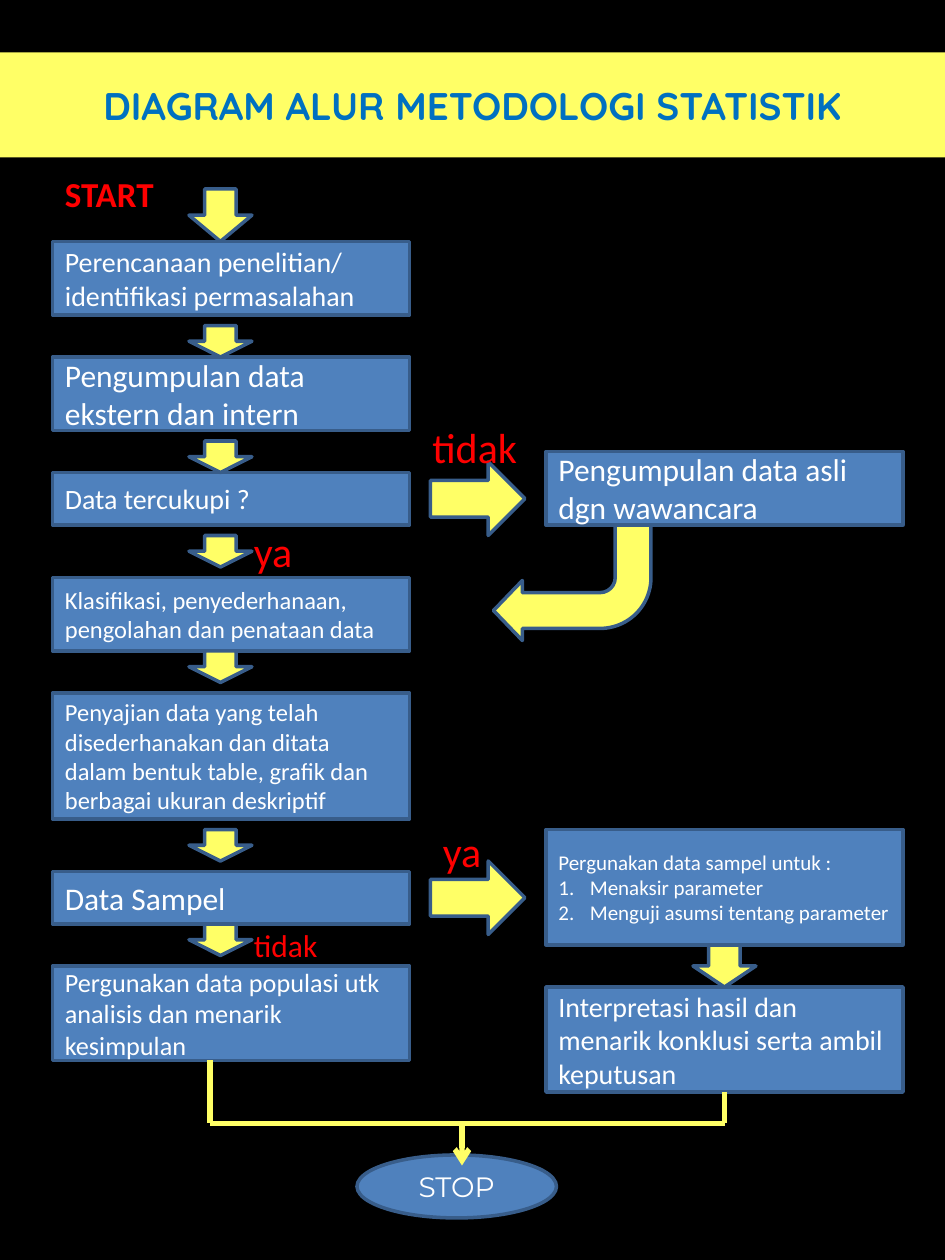
from pptx import Presentation
from pptx import util as u
from pptx.dml.color import RGBColor
from pptx.enum import shapes, text
from pptx.oxml.ns import qn
from lxml import etree

Pt = u.Pt
Kind = shapes.MSO_SHAPE
Anchor = text.MSO_ANCHOR
Align = text.PP_ALIGN

BLACK = RGBColor(0, 0, 0)
WHITE = RGBColor(255, 255, 255)
YELLOW = RGBColor(0xFF, 0xFF, 0x66)
BLUE = RGBColor(0x4F, 0x81, 0xBD)
OUTLINE = RGBColor(0x38, 0x5D, 0x8A)
TITLE_BLUE = RGBColor(0x00, 0x70, 0xC0)
RED = RGBColor(255, 0, 0)

LEFT, RIGHT, BOX_WIDTH = 30, 312, 204
LEFT_ARROW, RIGHT_ARROW, ARROW_WIDTH = 108, 396, 36

# Column, top, height, text size, wording
BOXES = [
    (LEFT, 138, 42, 16, ["Perencanaan penelitian/ identifikasi permasalahan"]),
    (LEFT, 204, 42, 18, ["Pengumpulan data ekstern dan intern"]),
    (LEFT, 270, 30, 16, ["Data tercukupi ? "]),
    (LEFT, 330, 42, 14, ["Klasifikasi, penyederhanaan, pengolahan dan penataan data"]),
    (LEFT, 396, 72, 14, ["Penyajian data yang telah disederhanakan dan ditata dalam "
                         "bentuk table, grafik dan berbagai ukuran deskriptif "]),
    (LEFT, 498, 30, 18, ["Data Sampel"]),
    (LEFT, 552, 54, 15, ["Pergunakan data populasi utk analisis dan menarik kesimpulan"]),
    (RIGHT, 258, 42, 18, ["Pengumpulan data asli dgn wawancara"]),
    (RIGHT, 474, 66, 12, ["Pergunakan data sampel untuk :", "Menaksir parameter",
                          "Menguji asumsi tentang parameter"]),
    (RIGHT, 564, 60, 16, ["Interpretasi hasil dan menarik konklusi serta ambil keputusan"]),
]
# Left, top, height
DOWN_ARROWS = [(LEFT_ARROW, 108, 30), (RIGHT_ARROW, 540, 24)] + [
    (LEFT_ARROW, top, 18) for top in (186, 252, 306, 372, 474, 528)]
# Wording, left, top, width, height, size
ANSWERS = [
    ("tidak", 138, 528, 60, 24, 18),
    ("tidak", 240, 240, 66, 30, 24),
    ("ya", 138, 300, 42, 30, 24),
    ("ya", 246, 474, 42, 24, 24),
]
# Start and end of each line towards STOP
JOINING_LINES = [(120, 642, 414, 642), (120, 606, 120, 642), (414, 624, 414, 642)]


def write(shape, lines, size, color, font="Calibri", bold=False,
          align=Align.LEFT, anchor=Anchor.MIDDLE):
    frame = shape.text_frame
    frame.word_wrap = True
    frame.auto_size = text.MSO_AUTO_SIZE.NONE
    frame.vertical_anchor = anchor
    for index, line in enumerate(lines):
        paragraph = frame.add_paragraph() if index else frame.paragraphs[0]
        paragraph.alignment = align
        run = paragraph.add_run()
        run.text = line
        run.font.name = font
        run.font.size = Pt(size)
        run.font.bold = bold
        run.font.color.rgb = color
        if index:
            number(paragraph)


def number(paragraph):
    properties = paragraph._p.get_or_add_pPr()
    properties.set("marL", str(Pt(18)))
    properties.set("indent", str(-Pt(18)))
    etree.SubElement(properties, qn("a:buFont"), typeface="+mj-lt")
    etree.SubElement(properties, qn("a:buAutoNum"), type="arabicPeriod")


def add_figure(slide, kind, left, top, width, height, fill):
    shape = slide.shapes.add_shape(kind, Pt(left), Pt(top), Pt(width), Pt(height))
    shape.shadow.inherit = False
    shape.fill.solid()
    shape.fill.fore_color.rgb = fill
    shape.line.color.rgb = OUTLINE
    shape.line.width = Pt(2)
    return shape


def add_label(slide, wording, left, top, width, height, size, **style):
    box = slide.shapes.add_textbox(Pt(left), Pt(top), Pt(width), Pt(height))
    write(box, [wording], size, RED, **style)


def add_line(slide, *ends, arrow=False):
    line = slide.shapes.add_connector(
        shapes.MSO_CONNECTOR.STRAIGHT, *[Pt(end) for end in ends])
    line.line.color.rgb = YELLOW
    line.line.width = Pt(3)
    if arrow:
        etree.SubElement(line.line._get_or_add_ln(), qn("a:tailEnd"), type="arrow")
    etree.SubElement(line._element.spPr, qn("a:effectLst"))


def add_title(slide):
    title = slide.shapes.title
    title.left, title.top, title.width, title.height = Pt(0), Pt(30), Pt(540), Pt(60)
    title.fill.solid()
    title.fill.fore_color.rgb = YELLOW
    write(title, ["DIAGRAM ALUR METODOLOGI STATISTIK"], 22, TITLE_BLUE,
          "Quicksand", True, Align.CENTER)


def main():
    presentation = Presentation()
    presentation.slide_width, presentation.slide_height = Pt(540), Pt(720)
    slide = presentation.slides.add_slide(presentation.slide_layouts[5])
    slide.background.fill.solid()
    slide.background.fill.fore_color.rgb = BLACK
    add_title(slide)

    # Steps
    for left, top, height, size, lines in BOXES:
        box = add_figure(slide, Kind.RECTANGLE, left, top, BOX_WIDTH, height, BLUE)
        write(box, lines, size, WHITE)

    # Block arrows
    for left, top, height in DOWN_ARROWS:
        add_figure(slide, Kind.DOWN_ARROW, left, top, ARROW_WIDTH, height, YELLOW)
    for top in (492, 264):
        add_figure(slide, Kind.RIGHT_ARROW, 246, top, 54, 42, YELLOW)
    return_arrow = add_figure(slide, Kind.BENT_ARROW, 282, 300, 90, 66, YELLOW)
    return_arrow.rotation = 180
    for index, value in enumerate((0.31, 0.26, 0.25, 0.44)):
        return_arrow.adjustments[index] = value

    # Red labels
    add_label(slide, "START", 30, 90, 84, 36, 20, bold=True, anchor=Anchor.BOTTOM)
    for answer in ANSWERS:
        add_label(slide, *answer)

    # End of the flow
    for ends in JOINING_LINES:
        add_line(slide, *ends)
    stop = add_figure(slide, Kind.OVAL, 204, 660, 114, 36, BLUE)
    write(stop, ["STOP"], 16, WHITE, "Montserrat", align=Align.CENTER)
    add_line(slide, 264, 642, 264, 666, arrow=True)

    presentation.save("out.pptx")


main()
